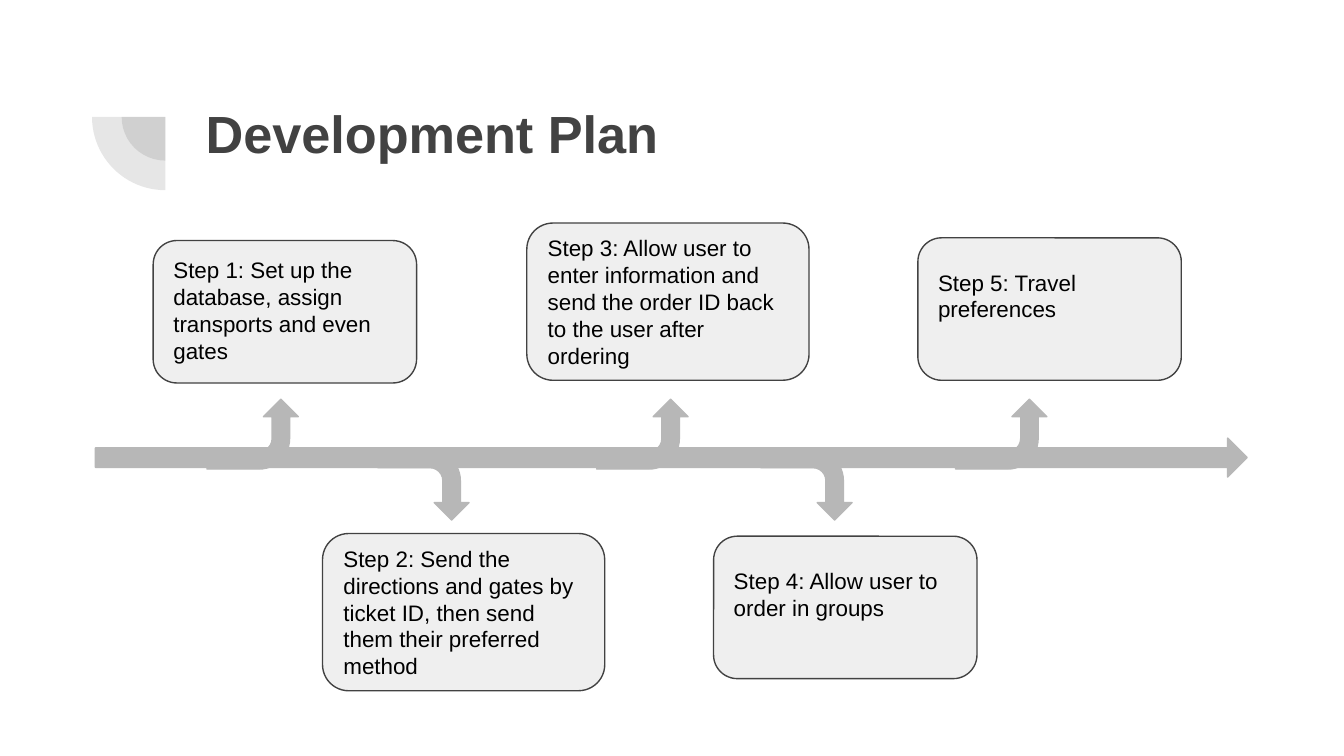
from dataclasses import dataclass

from lxml.etree import SubElement
from pptx import Presentation
from pptx.dml.color import RGBColor
from pptx.enum.shapes import MSO_SHAPE
from pptx.enum.text import MSO_ANCHOR, MSO_AUTO_SIZE, PP_ALIGN
from pptx.oxml.ns import qn
from pptx.util import Inches, Pt


@dataclass(frozen=True)
class Theme:
    font: str = "Arial"
    dark: RGBColor = RGBColor(0x42, 0x42, 0x42)
    arrow: RGBColor = RGBColor(0xB7, 0xB7, 0xB7)
    card: RGBColor = RGBColor(0xEF, 0xEF, 0xEF)
    text: RGBColor = RGBColor(0, 0, 0)
    title_size: Pt = Pt(28)
    card_size: Pt = Pt(12)


theme = Theme()
presentation = Presentation()
presentation.slide_width = Inches(10)
presentation.slide_height = Inches(10 * 9 / 16)
slide = presentation.slides.add_slide(presentation.slide_layouts[5])


def add_filled_shape(kind, left, top, width, height, fill, line=None):
    shape = slide.shapes.add_shape(
        kind, Inches(left), Inches(top), Inches(width), Inches(height))
    shape.shadow.inherit = False
    shape.fill.solid()
    shape.fill.fore_color.rgb = fill
    if line is None:
        shape.line.fill.background()
    else:
        shape.line.color.rgb = line
        shape.line.width = Pt(0.75)
    return shape


def format_text(text_frame, size, color, bold=False):
    text_frame.word_wrap = True
    text_frame.auto_size = MSO_AUTO_SIZE.NONE
    text_frame.margin_left = text_frame.margin_right = Inches(0.1)
    text_frame.margin_top = text_frame.margin_bottom = Inches(0.1)
    for paragraph in text_frame.paragraphs:
        paragraph.alignment = PP_ALIGN.LEFT
        for run in paragraph.runs:
            run.font.name = theme.font
            run.font.size = size
            run.font.bold = bold
            run.font.color.rgb = color


# Translucent concentric quarter circles beside the title
center_x, center_y = 1.23, 0.87
for diameter in (0.65, 1.09):
    quarter = add_filled_shape(
        MSO_SHAPE.PIE, center_x - diameter / 2, center_y - diameter / 2,
        diameter, diameter, theme.dark)
    quarter.adjustments[0] = 108
    quarter.adjustments[1] = 162
    quarter.rotation = 270
    color = quarter.fill._xPr.find(".//" + qn("a:srgbClr"))
    SubElement(color, qn("a:alpha")).set("val", "13000")

# Title
title = slide.shapes.title
title.left, title.top = Inches(1.43), Inches(0.63)
title.width, title.height = Inches(7.69), Inches(0.69)
title.text_frame.text = "Development Plan"
title.text_frame.vertical_anchor = MSO_ANCHOR.BOTTOM
format_text(title.text_frame, theme.title_size, theme.dark, bold=True)

# Timeline
add_filled_shape(MSO_SHAPE.RIGHT_ARROW, 0.71, 3.26, 8.57, 0.29,
                 theme.arrow, theme.arrow)

# Branches: those above the timeline are mirrored to point up
branches = [(1.62, True), (2.89, False), (4.52, True), (5.74, False), (7.19, True)]
for left, points_up in branches:
    branch = add_filled_shape(
        MSO_SHAPE.BENT_ARROW, left, 2.89 if points_up else 3.27, 0.52, 0.68,
        theme.arrow, theme.arrow)
    branch.rotation = 90
    if points_up:
        branch._element.spPr.find(qn("a:xfrm")).set("flipH", "1")

# Step cards: left, top, width, height, bottom margin, text
steps = [
    (1.14, 1.79, 1.96, 1.06, 0.13,
     "Step 1: Set up the database, assign transports and even gates"),
    (2.4, 3.97, 2.1, 1.17, 0.1,
     "Step 2: Send the directions and gates by ticket ID, then send them "
     "their preferred method"),
    (3.92, 1.66, 2.1, 1.17, 0.1,
     "Step 3: Allow user to enter information and send the order ID back "
     "to the user after ordering"),
    (5.31, 3.99, 1.96, 1.06, 0.3, "Step 4: Allow user to order in groups"),
    (6.83, 1.77, 1.96, 1.06, 0.3, "Step 5: Travel preferences"),
]
for left, top, width, height, bottom_margin, text in steps:
    card = add_filled_shape(MSO_SHAPE.ROUNDED_RECTANGLE, left, top, width, height,
                            theme.card, theme.dark)
    card.text_frame.text = text
    format_text(card.text_frame, theme.card_size, theme.text)
    card.text_frame.vertical_anchor = MSO_ANCHOR.MIDDLE
    card.text_frame.margin_bottom = Inches(bottom_margin)

presentation.save("out.pptx")
